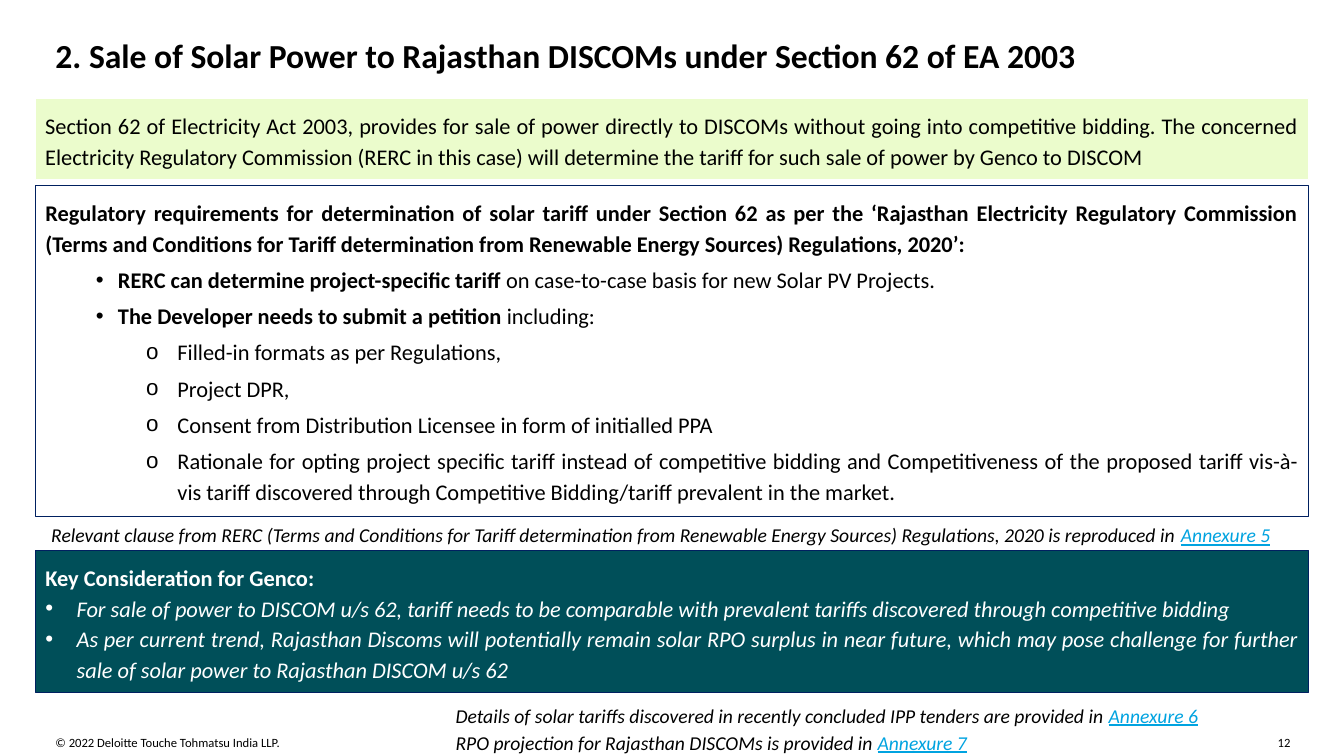
from lxml import etree
from pptx import Presentation
from pptx.dml.color import RGBColor
from pptx.enum import shapes, text
from pptx.oxml import ns
from pptx.util import Inches, Pt

COLORS = {
    "black": "000000", "white": "FFFFFF", "lime": "EBFCCC",
    "navy": "002060", "teal": "004F59", "link": "00A3E0",
}
FONT = "Calibri"
LEFT, WIDTH = 0.35, 12.63
BULLET = dict(level=1, margin=0.72, hang=0.22, bullet="•")
CIRCLE = dict(level=2, margin=1.31, hang=0.31, bullet="o")
POINT = dict(margin=0.31, hang=0.31, bullet="•", italic=True)

REQUIREMENTS = [
    ([("Regulatory requirements for determination of solar tariff under Section 62 as per the "
       "‘Rajasthan Electricity Regulatory Commission (Terms and Conditions for Tariff determination "
       "from Renewable Energy Sources) Regulations, 2020’:", "bold")], {}),
    ([("RERC can determine project-specific tariff ", "bold"),
      ("on case-to-case basis for new Solar PV Projects.", "")], BULLET),
    ([("The Developer needs to submit a petition ", "bold"), ("including:", "")], BULLET),
    ([("Filled-in formats as per Regulations,", "")], CIRCLE),
    ([("Project DPR,", "")], CIRCLE),
    ([("Consent from Distribution Licensee in form of initialled PPA", "")], CIRCLE),
    ([("Rationale for opting project specific tariff instead of competitive bidding and "
       "Competitiveness of the proposed tariff vis-à-vis tariff discovered through Competitive "
       "Bidding/tariff prevalent in the market.", "")], CIRCLE),
]
CONSIDERATIONS = [
    ([("Key Consideration for Genco:", "bold")], {}),
    ([("For sale of power to DISCOM u/s 62, tariff needs to be comparable with prevalent tariffs "
       "discovered through competitive bidding", "")], POINT),
    ([("As per current trend, Rajasthan Discoms will potentially remain solar RPO surplus in near "
       "future, which may pose challenge for further sale of solar power to Rajasthan DISCOM "
       "u/s 62", "")], POINT),
]


def rgb(name):
    return RGBColor.from_string(COLORS[name])


def place(shape, left, top, width, height):
    shape.left, shape.top = Inches(left), Inches(top)
    shape.width, shape.height = Inches(width), Inches(height)


def prepare_frame(frame, inset_x=0.1, inset_y=0.1, anchor=text.MSO_ANCHOR.TOP):
    frame.word_wrap = True
    frame.auto_size = text.MSO_AUTO_SIZE.NONE
    frame.vertical_anchor = anchor
    frame.margin_left = frame.margin_right = Inches(inset_x)
    frame.margin_top = frame.margin_bottom = Inches(inset_y)


def set_bullet(paragraph, margin, hang, bullet):
    properties = paragraph._p.get_or_add_pPr()
    properties.set("marL", str(Inches(margin)))
    properties.set("indent", str(-Inches(hang)))
    tag = "a:buChar" if bullet else "a:buNone"
    mark = etree.SubElement(properties, ns.qn(tag))
    if bullet:
        mark.set("char", bullet)


def write_paragraph(paragraph, runs, size, color="black", after=0, spacing=1.14,
                    align=text.PP_ALIGN.JUSTIFY, level=0, margin=0, hang=0,
                    bullet=None, italic=False):
    paragraph.level = level
    set_bullet(paragraph, margin, hang, bullet)
    paragraph.alignment = align
    paragraph.line_spacing = spacing
    paragraph.space_before = Pt(0)
    paragraph.space_after = Pt(after)
    paragraph.font.name = FONT
    paragraph.font.size = Pt(size)
    paragraph.font.italic = italic
    paragraph.font.color.rgb = rgb(color)
    paragraph.font.bold = all(style == "bold" for _, style in runs)
    for words, style in runs:
        run = paragraph.add_run()
        run.text = words
        if style == "bold":
            run.font.bold = True
        elif style == "link":
            run.font.underline = True
            run.font.color.rgb = rgb("link")


def write_paragraphs(frame, items, **common):
    for index, (runs, layout) in enumerate(items):
        paragraph = frame.add_paragraph() if index else frame.paragraphs[0]
        write_paragraph(paragraph, runs, **{**common, **layout})


def style_panel(panel, line, fill=None):
    if fill:
        panel.fill.solid()
        panel.fill.fore_color.rgb = rgb(fill)
    else:
        panel.fill.background()
    panel.line.color.rgb = rgb(line)
    panel.line.width = Pt(0.75)


def fill_list(panel, top, height, items, fill=None, **common):
    place(panel, LEFT, top, WIDTH, height)
    style_panel(panel, "navy", fill)
    prepare_frame(panel.text_frame)
    write_paragraphs(panel.text_frame, items, size=16, **common)


def add_summary(slide, words):
    summary = slide.shapes.add_shape(
        shapes.MSO_SHAPE.RECTANGLE, Inches(LEFT), Inches(0.98), Inches(WIDTH), Inches(0.8))
    summary.shadow.inherit = False
    style_panel(summary, "white", "lime")
    prepare_frame(summary.text_frame)
    write_paragraphs(summary.text_frame, [([(words, "")], {})], size=16)


def add_references(slide, left, top, width, height, references):
    box = slide.shapes.add_textbox(Inches(left), Inches(top), Inches(width), Inches(height))
    prepare_frame(box.text_frame, inset_y=0.05)
    items = [([(lead, ""), (annexure, "link")], {}) for lead, annexure in references]
    write_paragraphs(box.text_frame, items, size=14, margin=0.06, italic=True)


def add_footer(slide, left, width, words, align):
    footer = slide.shapes.add_textbox(Inches(left), Inches(7.29), Inches(width), Inches(0.15))
    prepare_frame(footer.text_frame, 0, 0)
    write_paragraphs(footer.text_frame, [([(words, "")], {})], size=9, spacing=1, align=align)


def main():
    deck = Presentation()
    deck.slide_width, deck.slide_height = Inches(13.33), Inches(7.5)
    slide = deck.slides.add_slide(deck.slide_layouts.get_by_name("Two Content"))
    title, requirements, considerations = list(slide.placeholders)[:3]

    place(title, 0.55, 0.35, 12.24, 0.37)
    prepare_frame(title.text_frame, 0, 0)
    heading = "2. Sale of Solar Power to Rajasthan DISCOMs under Section 62 of EA 2003"
    write_paragraphs(title.text_frame, [([(heading, "bold")], {})], size=24, spacing=1,
                     align=text.PP_ALIGN.LEFT)

    add_summary(slide, "Section 62 of Electricity Act 2003, provides for sale of power directly to "
                       "DISCOMs without going into competitive bidding. The concerned Electricity "
                       "Regulatory Commission (RERC in this case) will determine the tariff for "
                       "such sale of power by Genco to DISCOM")
    fill_list(requirements, 1.84, 3.28, REQUIREMENTS, after=4)
    fill_list(considerations, 5.46, 1.41, CONSIDERATIONS, fill="teal", color="white")

    add_references(slide, LEFT, 5.11, WIDTH, 0.35, [
        ("Relevant clause from RERC (Terms and Conditions for Tariff determination from Renewable "
         "Energy Sources) Regulations, 2020 is reproduced in ", "Annexure 5")])
    add_references(slide, 4.36, 6.9, 8.62, 0.6, [
        ("Details of solar tariffs discovered in recently concluded IPP tenders are provided in ",
         "Annexure 6"),
        ("RPO projection for Rajasthan DISCOMs is provided in ", "Annexure 7")])

    add_footer(slide, 0.55, 3.5, "© 2022 Deloitte Touche Tohmatsu India LLP.", text.PP_ALIGN.LEFT)
    add_footer(slide, 12.5, 0.3, "12", text.PP_ALIGN.RIGHT)
    deck.save("out.pptx")


if __name__ == "__main__":
    main()
